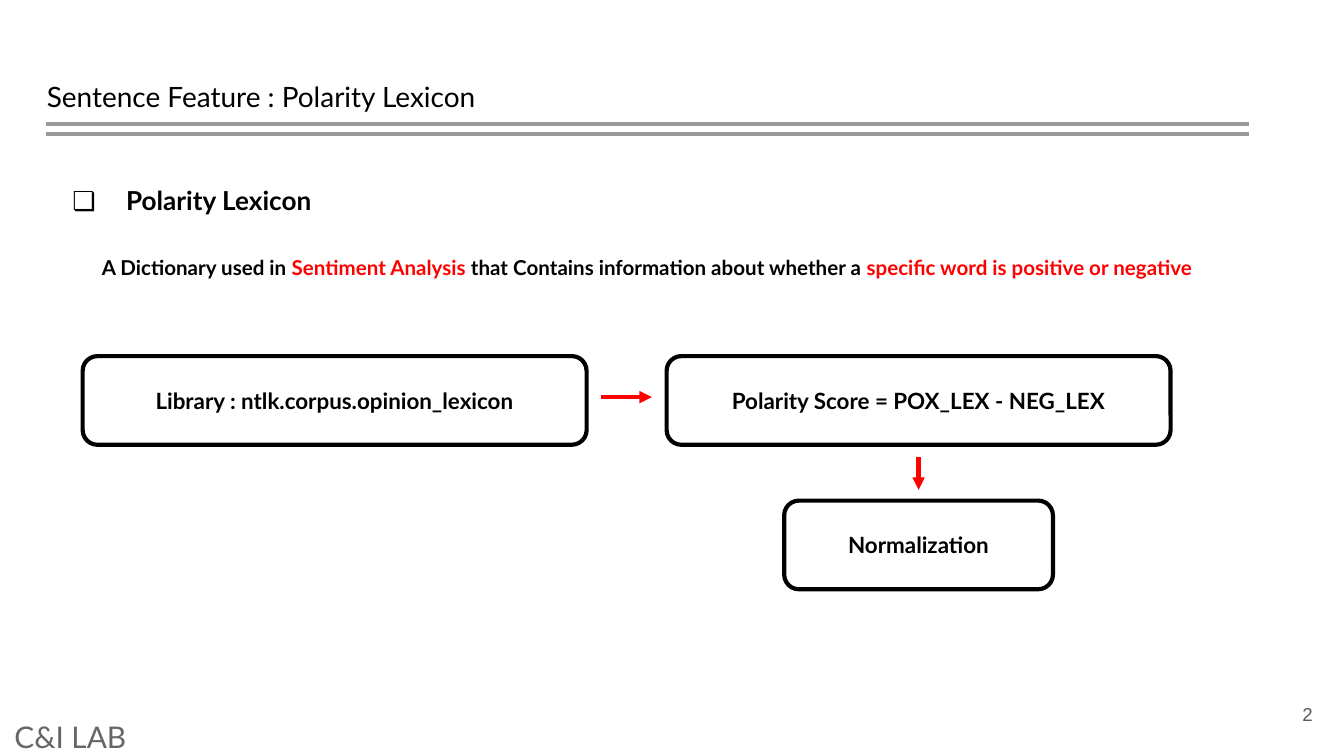
from dataclasses import dataclass

from lxml.etree import SubElement
from pptx import Presentation
from pptx.dml.color import RGBColor
from pptx.enum.shapes import MSO_CONNECTOR as Connector, MSO_SHAPE as Shape
from pptx.enum.text import MSO_ANCHOR as Anchor, PP_ALIGN as Align
from pptx.oxml.ns import qn
from pptx.util import Pt

EMU_PER_PX = 4572  # 200 px to the inch


@dataclass(frozen=True)
class Theme:
    font: str = "Lato"
    number_font: str = "Arial"
    ink: str = "000000"
    accent: str = "FF0000"
    rule: str = "999999"
    footer: str = "666666"
    number: str = "595959"
    title_size: int = 15
    heading_size: int = 14
    definition_size: int = 11
    step_size: int = 12
    footer_size: int = 16
    number_size: int = 10
    stroke: float = 2.25


@dataclass(frozen=True)
class Box:
    left: int
    top: int
    width: int
    height: int


@dataclass(frozen=True)
class Part:
    text: str
    color: str


@dataclass(frozen=True)
class Label:
    box: Box
    text: str
    size: int
    color: str
    font: str
    bold: bool = False
    align: Align = Align.LEFT
    anchor: Anchor = Anchor.TOP


@dataclass(frozen=True)
class Step:
    box: Box
    text: str


@dataclass(frozen=True)
class Line:
    start: tuple[int, int]
    end: tuple[int, int]
    color: str
    arrow: bool = False


THEME = Theme()
STEP_TOP, STEP_WIDTH, STEP_HEIGHT = 530, 750, 132

HEADING = Label(Box(68, 248, 912, 126), "Polarity Lexicon",
                THEME.heading_size, THEME.ink, THEME.font, bold=True)
LABELS = [
    Label(Box(50, 98, 1864, 126), "Sentence Feature : Polarity Lexicon",
          THEME.title_size, THEME.ink, THEME.font),
    Label(Box(1853, 1020, 120, 86), "2", THEME.number_size, THEME.number,
          THEME.number_font, align=Align.RIGHT, anchor=Anchor.MIDDLE),
    Label(Box(2, 1068, 2000, 56), "C&I LAB", THEME.footer_size, THEME.footer,
          THEME.font, anchor=Anchor.MIDDLE),
]
DEFINITION = [
    Part("A Dictionary used in ", THEME.ink),
    Part("Sentiment Analysis ", THEME.accent),
    Part("that Contains information about whether a ", THEME.ink),
    Part("specific word is positive or negative", THEME.accent),
]
STEPS = [
    Step(Box(123, STEP_TOP, STEP_WIDTH, STEP_HEIGHT),
         "Library : ntlk.corpus.opinion_lexicon"),
    Step(Box(992, STEP_TOP, STEP_WIDTH, STEP_HEIGHT),
         "Polarity Score = POX_LEX - NEG_LEX"),
    Step(Box(1167, 745, 400, STEP_HEIGHT), "Normalization"),
]
LINES = [
    *(Line((68, y), (1858, y), THEME.rule) for y in (185, 200)),
    Line((894, 591), (970, 591), THEME.accent, arrow=True),
    Line((1367, 680), (1367, 729), THEME.accent, arrow=True),
]


def px(length: int) -> int:
    return length * EMU_PER_PX


def place(box: Box) -> tuple[int, ...]:
    return tuple(map(px, (box.left, box.top, box.width, box.height)))


def style(font, name: str, size: int, color: str, bold: bool) -> None:
    font.name, font.size, font.bold = name, Pt(size), bold
    font.color.rgb = RGBColor.from_string(color)


def add_label(slide, label: Label):
    """Draw a text box and return its paragraph."""
    frame = slide.shapes.add_textbox(*place(label.box)).text_frame
    frame.word_wrap = True
    frame.vertical_anchor = label.anchor
    frame.margin_left = frame.margin_right = px(20)
    frame.margin_top = frame.margin_bottom = px(20)
    frame.text = label.text
    paragraph = frame.paragraphs[0]
    paragraph.alignment = label.align
    style(paragraph.runs[0].font, label.font, label.size, label.color, label.bold)
    return paragraph


def add_bullet(paragraph, char: str, color: str) -> None:
    paragraph.line_spacing = 1.15
    properties = paragraph._p.get_or_add_pPr()
    properties.set("marL", str(px(100)))
    properties.set("indent", str(px(-80)))
    bullet_color = SubElement(properties, qn("a:buClr"))
    SubElement(bullet_color, qn("a:srgbClr"), val=color)
    SubElement(properties, qn("a:buFont"), typeface=THEME.font)
    SubElement(properties, qn("a:buChar"), char=char)


def add_panel(slide, box: Box, parts: list[Part], size: int, outlined: bool) -> None:
    """Draw an unfilled rounded panel with centred bold text."""
    panel = slide.shapes.add_shape(Shape.ROUNDED_RECTANGLE, *place(box))
    panel.shadow.inherit = False
    panel.fill.background()
    if outlined:
        panel.line.color.rgb = RGBColor.from_string(THEME.ink)
        panel.line.width = Pt(THEME.stroke)
    else:
        panel.line.fill.background()
    frame = panel.text_frame
    frame.word_wrap = True
    frame.vertical_anchor = Anchor.MIDDLE
    paragraph = frame.paragraphs[0]
    paragraph.alignment = Align.CENTER
    for part in parts:
        run = paragraph.add_run()
        run.text = part.text
        style(run.font, THEME.font, size, part.color, bold=True)


def add_line(slide, line: Line) -> None:
    connector = slide.shapes.add_connector(
        Connector.STRAIGHT, *map(px, line.start + line.end))
    connector.line.color.rgb = RGBColor.from_string(line.color)
    connector.line.width = Pt(THEME.stroke)
    if line.arrow:
        SubElement(connector.line._get_or_add_ln(), qn("a:tailEnd"), type="triangle")
    SubElement(connector._element.spPr, qn("a:effectLst"))


def main() -> None:
    deck = Presentation()
    deck.slide_width, deck.slide_height = px(2000), px(1125)
    slide = deck.slides.add_slide(deck.slide_layouts[6])
    add_bullet(add_label(slide, HEADING), "❏", THEME.ink)
    for label in LABELS:
        add_label(slide, label)
    add_panel(slide, Box(104, 337, 1718, 122), DEFINITION,
              THEME.definition_size, outlined=False)
    for line in LINES:
        add_line(slide, line)
    for step in STEPS:
        add_panel(slide, step.box, [Part(step.text, THEME.ink)],
                  THEME.step_size, outlined=True)
    deck.save("out.pptx")


if __name__ == "__main__":
    main()
